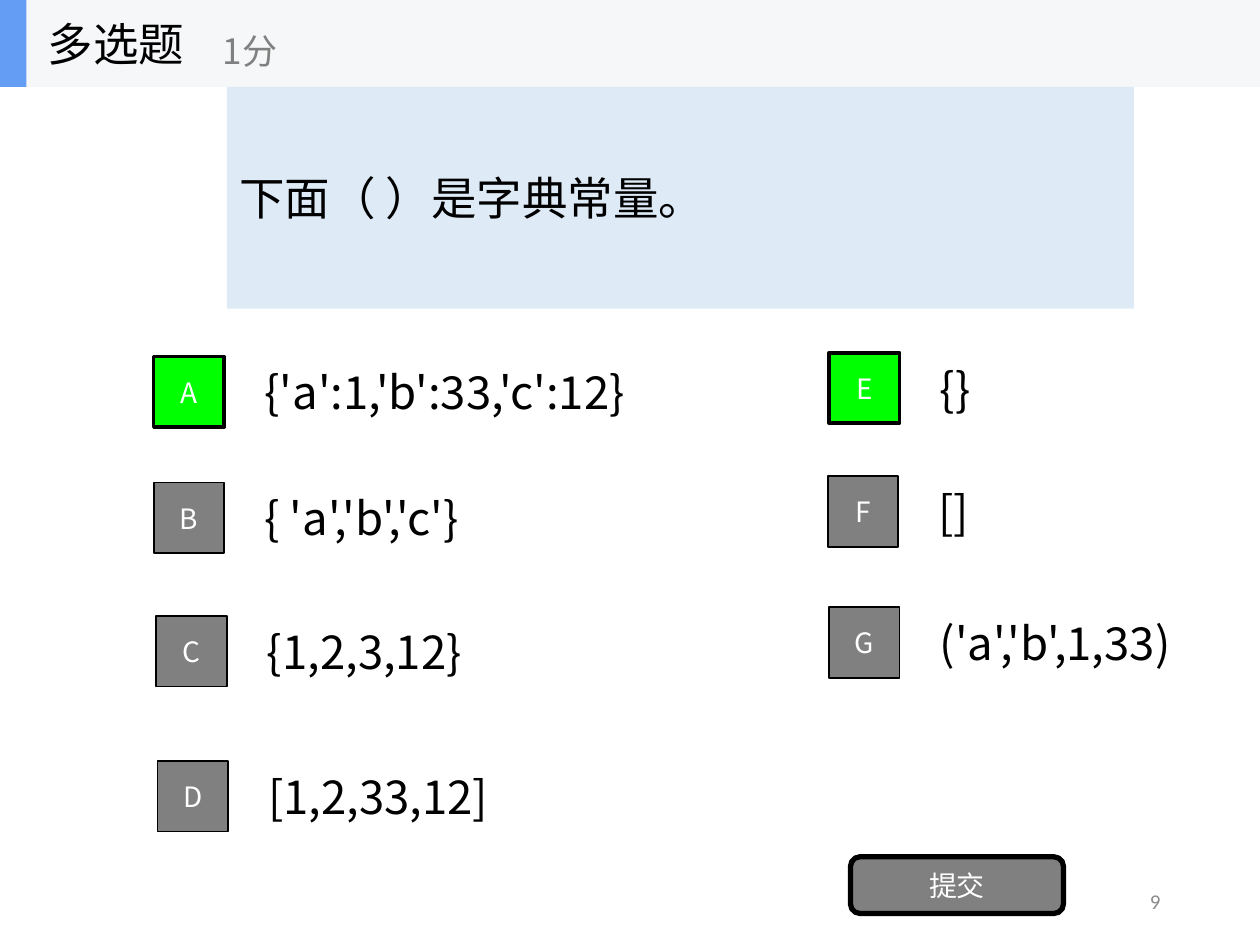
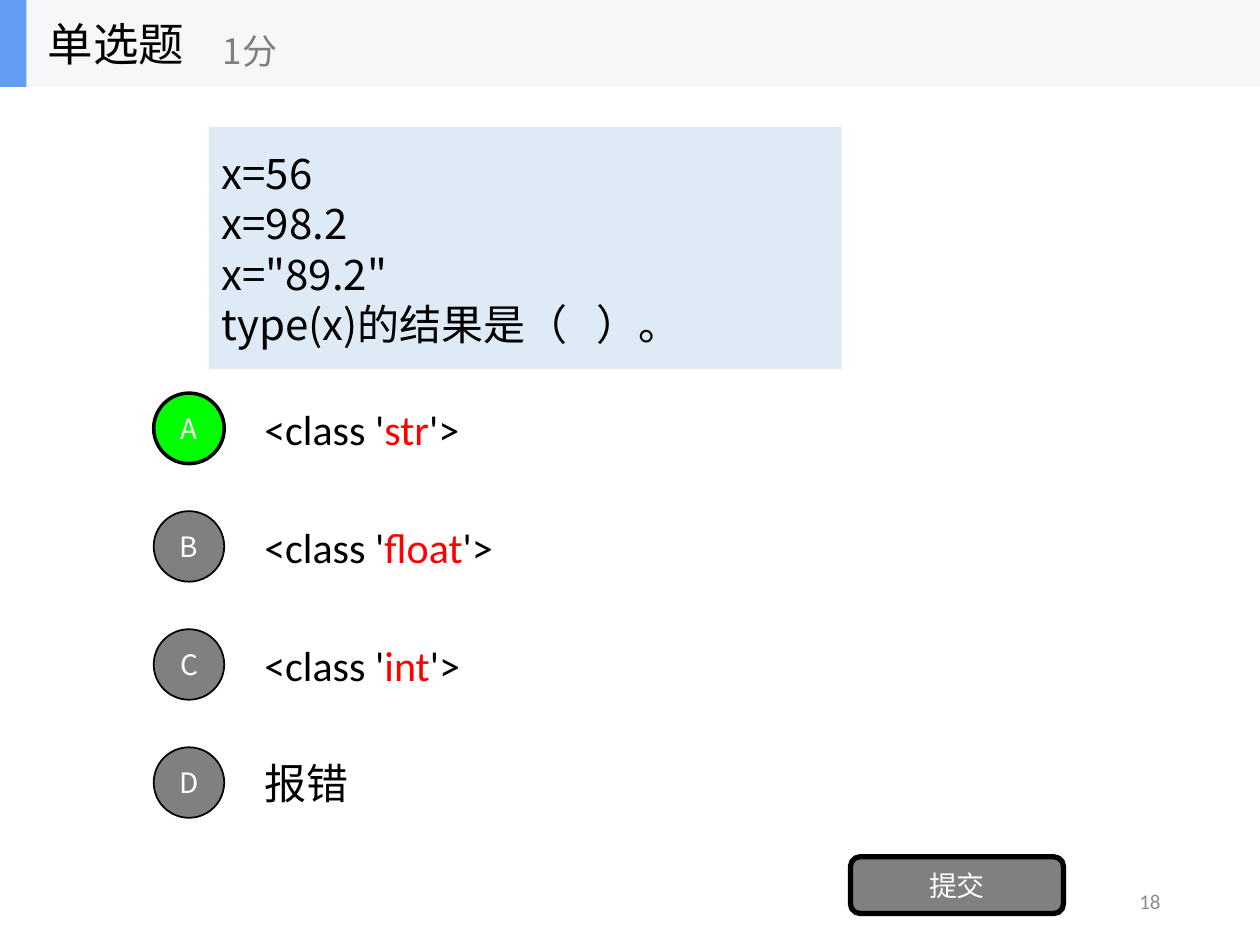
from lxml import etree
from pptx import Presentation
from pptx import util as u
from pptx.dml.color import RGBColor
from pptx.enum import shapes, text
from pptx.oxml.ns import qn

COLORS = {
    "ink": "000000", "white": "FFFFFF", "gray": "808080", "number": "8C8C8C",
    "right": "00FF00", "code": "FF0000", "question": "DEEBF7",
    "band": "F6F7F8", "accent": "639EF4",
}
CJK, LATIN = "Noto Sans CJK SC", "Calibri"
COLUMNS, ROWS = 100, 75
KEY_SIZE, BAND_HEIGHT = 5.6, 6.9
FORMS = shapes.MSO_SHAPE


class QuizDeck:
    """Quiz slides drawn on a grid of 100 columns by 75 rows."""

    def __init__(self):
        self.deck = Presentation()
        self.deck.slide_width, self.deck.slide_height = u.Inches(10), u.Inches(7.5)
        self.page = None

    def place(self, column, row, width, height):
        across = self.deck.slide_width / COLUMNS
        down = self.deck.slide_height / ROWS
        return [round(n) for n in (column * across, row * down, width * across, height * down)]

    def color(self, name):
        return RGBColor.from_string(COLORS[name])

    def letter(self, box, lines, size, color="ink", font=CJK, align="LEFT"):
        """Fill a box with lines, each a string or a list of (words, color)."""
        frame = box.text_frame
        settings = {"word_wrap": True, "auto_size": text.MSO_AUTO_SIZE.NONE,
                    "vertical_anchor": text.MSO_ANCHOR.MIDDLE}
        for name, value in settings.items():
            setattr(frame, name, value)
        for index, line in enumerate(lines):
            para = frame.add_paragraph() if index else frame.paragraphs[0]
            para.alignment = getattr(text.PP_ALIGN, align)
            for words, shade in [(line, color)] if isinstance(line, str) else line:
                span = para.add_run()
                span.text = words
                for name, value in {"size": u.Pt(size), "name": font}.items():
                    setattr(span.font, name, value)
                span.font.color.rgb = self.color(shade)
                etree.SubElement(span._r.get_or_add_rPr(), qn("a:ea"), typeface=CJK)

    def label(self, area, lines, size, **style):
        box = self.page.shapes.add_textbox(*self.place(*area))
        self.letter(box, lines, size, **style)

    def block(self, form, area, fill, border=0):
        box = self.page.shapes.add_shape(form, *self.place(*area))
        box.shadow.inherit = False
        box.fill.solid()
        box.fill.fore_color.rgb = self.color(fill)
        if border:
            box.line.color.rgb = self.color("ink")
            box.line.width = u.Pt(border)
        else:
            box.line.fill.background()
        return box

    def start(self, kind, number):
        """Add a slide with its band, title, points, button and number."""
        self.page = self.deck.slides.add_slide(self.deck.slide_layouts[5])
        self.block(FORMS.RECTANGLE, (0, 0, COLUMNS, BAND_HEIGHT), "band")
        stripe = self.block(FORMS.RECTANGLE, (0, 0, 2.1, BAND_HEIGHT), "accent")
        title = self.page.shapes.title
        stripe.element.addnext(title.element)
        area = self.place(2.8, 0, 20.8, BAND_HEIGHT)
        for name, value in zip(("left", "top", "width", "height"), area):
            setattr(title, name, value)
        self.letter(title, [kind], 26)
        self.label((16.7, 1.2, 25, 5.6), ["1分"], 20, color="gray")
        button = self.block(FORMS.ROUNDED_RECTANGLE, (67.5, 68, 16.9, 4.5), "gray", 3)
        self.letter(button, ["提交"], 16, color="white", align="CENTER")
        self.label((70.6, 69.5, 22.5, 4), [number], 12,
                   color="number", font=LATIN, align="RIGHT")

    def question(self, area, lines, size):
        self.letter(self.block(FORMS.RECTANGLE, area, "question"), lines, size)

    def option(self, form, key, column, row, width, answer, size, right=False, font=CJK):
        """Draw a lettered key with its answer to the right."""
        area = (column, row, KEY_SIZE, KEY_SIZE)
        box = self.block(form, area, "right" if right else "gray", 2 if right else 1)
        for side in ("left", "right"):
            setattr(box.text_frame, f"margin_{side}", 0)
        self.letter(box, [key], 16, color="white", align="CENTER")
        self.label((column + 7.8, row - 0.7, width, 7), [answer], size, font=font)


def multiple_choice(quiz):
    quiz.start("多选题", "9")
    quiz.question((18, 6.9, 72, 17.6), ["下面（ ）是字典常量。"], 26)
    options = [
        ("A", 12.2, 28.3, 32.4, "{'a':1,'b':33,'c':12}"),
        ("B", 12.2, 38.3, 20.6, "{ 'a','b','c'}"),
        ("C", 12.4, 48.9, 21.7, "{1,2,3,12}"),
        ("D", 12.5, 60.4, 21.3, "[1,2,33,12]"),
        ("E", 65.8, 28, 7.2, "{}"),
        ("F", 65.7, 37.8, 10.3, "[]"),
        ("G", 65.8, 48.2, 21.7, "('a','b',1,33)"),
    ]
    for key, *where, answer in options:
        quiz.option(FORMS.RECTANGLE, key, *where, answer, 26, right=key in "AE")


def single_choice(quiz):
    quiz.start("单选题", "18")
    quiz.question((16.6, 10.1, 50.2, 19.2),
                  ["x=56", "x=98.2", 'x="89.2"', "type(x)的结果是（   ）。"], 24)
    answers = [[("<class '", "ink"), (name, "code"), ("'>", "ink")]
               for name in ("str", "float", "int")] + ["报错"]
    for index, (key, answer) in enumerate(zip("ABCD", answers)):
        quiz.option(FORMS.OVAL, key, 12.2, 31.2 + 9.37 * index, 30, answer, 24,
                    right=key == "A", font=CJK if key == "D" else LATIN)


def main():
    quiz = QuizDeck()
    multiple_choice(quiz)
    single_choice(quiz)
    quiz.deck.save("out.pptx")


if __name__ == "__main__":
    main()
